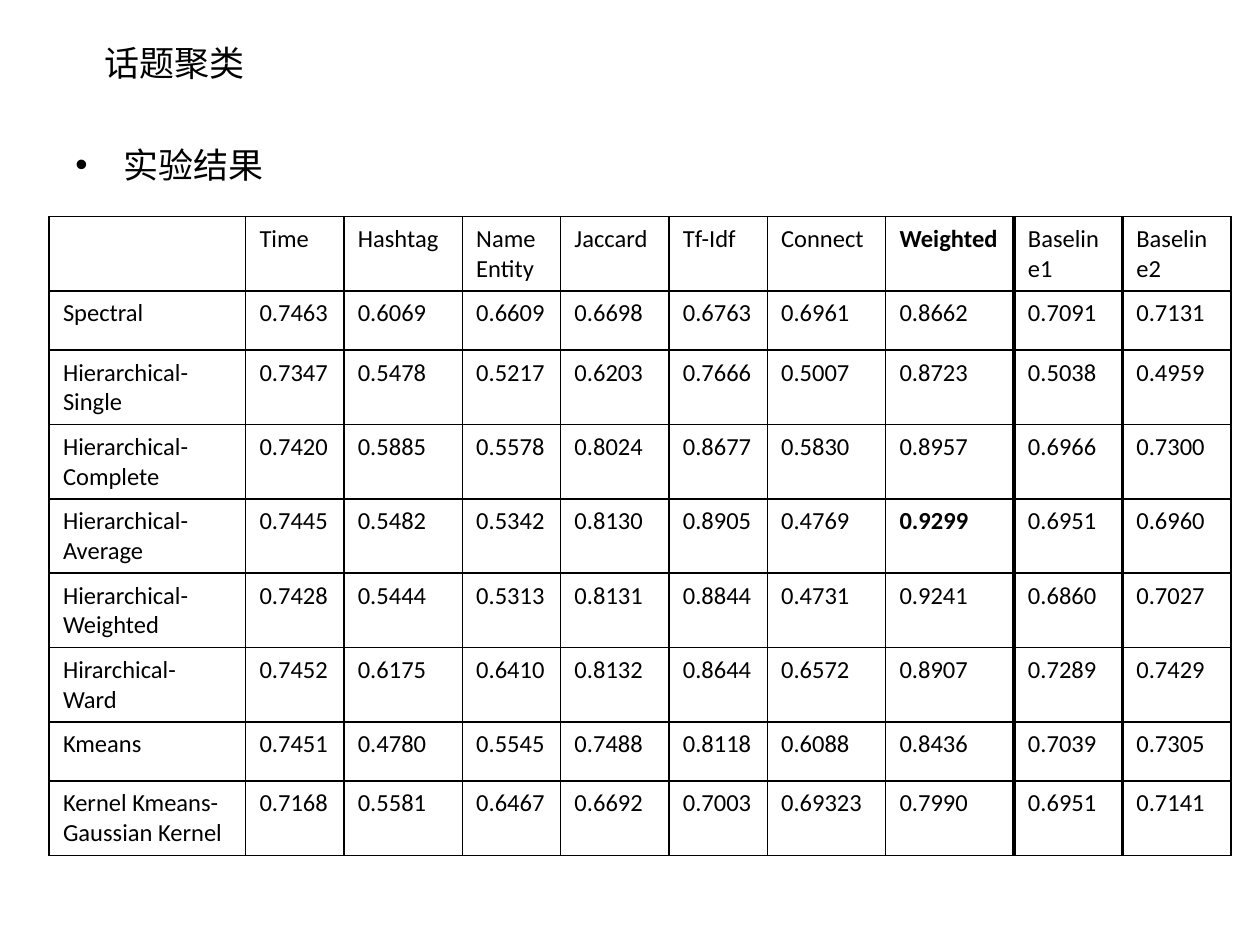
from pptx import Presentation, util as u
from pptx.dml.color import RGBColor
from pptx.enum import text
from pptx.oxml import parse_xml
from pptx.oxml.ns import nsdecls, qn
from lxml import etree

# Content
TITLE = "话题聚类"
BULLET = "实验结果"
HEADER = ["", "Time", "Hashtag", "Name \nEntity", "Jaccard", "Tf-Idf", "Connect",
          "Weighted", "Baseline1", "Baseline2"]
RESULTS = [
    ("Spectral", "0.7463 0.6069 0.6609 0.6698 0.6763 0.6961 0.8662 0.7091 0.7131"),
    ("Hierarchical-\nSingle", "0.7347 0.5478 0.5217 0.6203 0.7666 0.5007 0.8723 0.5038 0.4959"),
    ("Hierarchical-\nComplete", "0.7420 0.5885 0.5578 0.8024 0.8677 0.5830 0.8957 0.6966 0.7300"),
    ("Hierarchical-\nAverage", "0.7445 0.5482 0.5342 0.8130 0.8905 0.4769 0.9299 0.6951 0.6960"),
    ("Hierarchical-\nWeighted", "0.7428 0.5444 0.5313 0.8131 0.8844 0.4731 0.9241 0.6860 0.7027"),
    ("Hirarchical-\nWard", "0.7452 0.6175 0.6410 0.8132 0.8644 0.6572 0.8907 0.7289 0.7429"),
    ("Kmeans", "0.7451 0.4780 0.5545 0.7488 0.8118 0.6088 0.8436 0.7039 0.7305"),
    ("Kernel Kmeans-\nGaussian Kernel",
     "0.7168 0.5581 0.6467 0.6692 0.7003 0.69323 0.7990 0.6951 0.7141"),
]
BOLD = {"Weighted", "0.9299"}
COLUMN_WIDTHS = [1.56, 0.78, 0.94, 0.78, 0.86, 0.78, 0.94, 1.02, 0.86, 0.86]
ONE_LINE, TWO_LINES = 0.47, 0.59
THICK_RULES = {8, 9}  # columns with a heavy left edge
COLORS = {"ink": "000000", "paper": "FFFFFF"}
LATIN, CJK = "Calibri", "Noto Sans CJK SC"


def write(frame, content, size=14, font=LATIN, bold=False,
          align=text.PP_ALIGN.LEFT, anchor=text.MSO_ANCHOR.TOP):
    frame.word_wrap = True
    frame.vertical_anchor = anchor
    for number, line in enumerate(content.split("\n")):
        para = frame.paragraphs[0] if number == 0 else frame.add_paragraph()
        para.alignment = align
        span = para.add_run()
        span.text = line
        span.font.size = u.Pt(size)
        span.font.name = font
        span.font.bold = bold
        span.font.color.rgb = RGBColor.from_string(COLORS["ink"])
        etree.SubElement(span.font._element, qn("a:ea"), typeface=CJK)
    return frame.paragraphs[0]


def add_text(left, top, width, height, content, **style):
    box = page.shapes.add_textbox(*map(u.Inches, (left, top, width, height)))
    return write(box.text_frame, content, **style)


def set_borders(cell, **widths):
    properties = cell._tc.get_or_add_tcPr()
    for place, (side, width) in enumerate(widths.items()):
        properties.insert(place, parse_xml(
            f'<a:{side} {nsdecls("a")} w="{u.Pt(width)}"><a:solidFill>'
            f'<a:srgbClr val="{COLORS["ink"]}"/></a:solidFill></a:{side}>'))


deck = Presentation()
deck.slide_width, deck.slide_height = u.Inches(10), u.Inches(7.5)
page = deck.slides.add_slide(deck.slide_layouts[6])

# Title and bullet
add_text(0.5, 0.3, 1.77, 0.4, TITLE, size=20, font=CJK,
         align=text.PP_ALIGN.CENTER, anchor=text.MSO_ANCHOR.MIDDLE)
bullet = add_text(0.5, 1.09, 9, 0.47, BULLET, size=20)
indent = u.Inches(0.38)
bullet_format = bullet._p.get_or_add_pPr()
bullet_format.set("marL", str(indent))
bullet_format.set("indent", str(-indent))
etree.SubElement(bullet_format, qn("a:buFont"), typeface="Arial")
etree.SubElement(bullet_format, qn("a:buChar"), char="•")

# Results table
rows = [HEADER] + [[method, *scores.split()] for method, scores in RESULTS]
heights = [TWO_LINES if any("\n" in value for value in row) else ONE_LINE for row in rows]
table = page.shapes.add_table(
    len(rows), len(HEADER), u.Inches(0.39), u.Inches(1.72),
    u.Inches(sum(COLUMN_WIDTHS)), u.Inches(sum(heights))).table
table.first_row = table.horz_banding = False
for column, width in zip(table.columns, COLUMN_WIDTHS):
    column.width = u.Inches(width)
for r, (row, height) in enumerate(zip(rows, heights)):
    table.rows[r].height = u.Inches(height)
    for c, value in enumerate(row):
        cell = table.cell(r, c)
        cell.fill.solid()
        cell.fill.fore_color.rgb = RGBColor.from_string(COLORS["paper"])
        cell.margin_left = cell.margin_right = u.Inches(0.11)
        cell.margin_top = cell.margin_bottom = u.Inches(0.06)
        write(cell.text_frame, value, bold=value in BOLD)
        set_borders(cell, lnL=2.25 if c in THICK_RULES else 1,
                    lnR=2.25 if c + 1 in THICK_RULES else 1, lnT=1, lnB=1)

deck.save("out.pptx")
